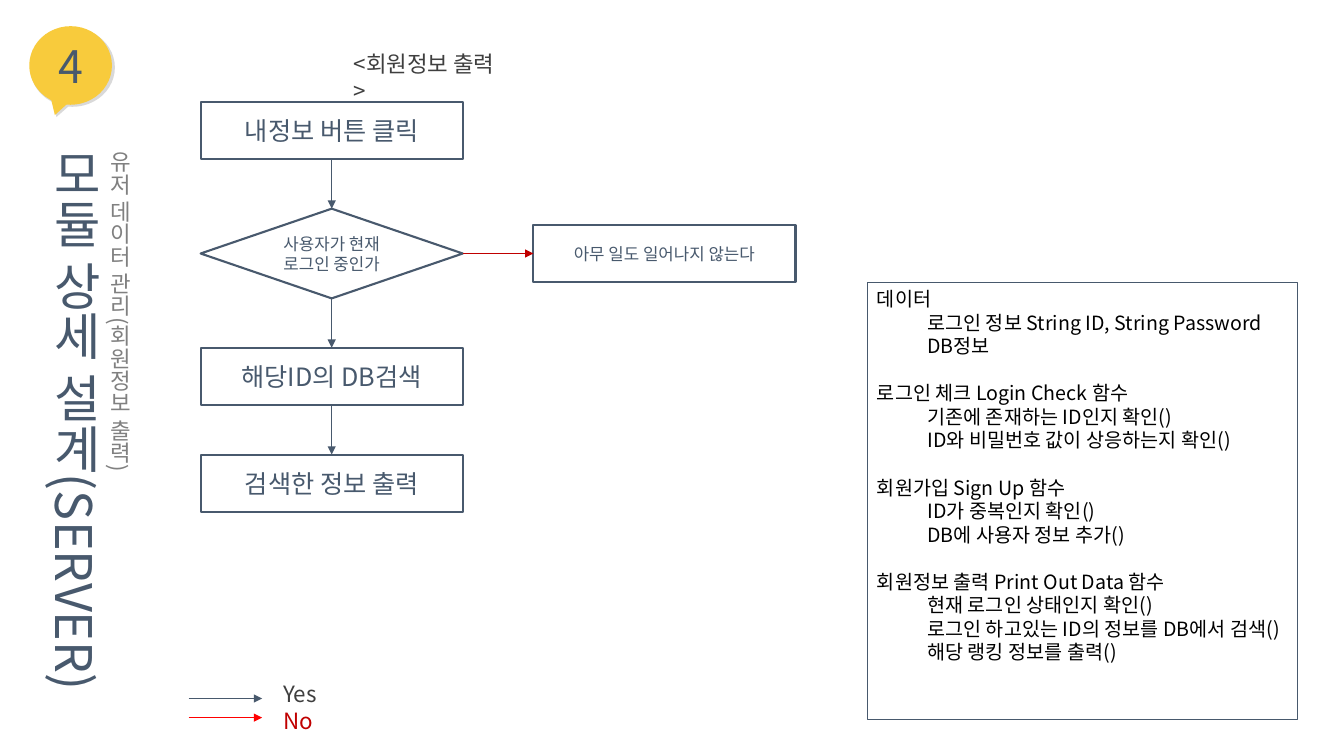
from pptx import Presentation
from pptx.dml.color import RGBColor
from pptx.enum.shapes import MSO_CONNECTOR, MSO_SHAPE
from pptx.enum.text import MSO_ANCHOR, PP_ALIGN
from pptx.oxml.ns import qn
from pptx.util import Inches, Pt
from lxml.etree import SubElement

FONT = "Noto Sans CJK KR"
NAVY = RGBColor(0x48, 0x59, 0x6D)
YELLOW = RGBColor(0xF8, 0xCB, 0x3C)
SHADE = RGBColor(0xD9, 0xD9, 0xD9)
GRAY = RGBColor(0x80, 0x80, 0x80)
DARK = RGBColor(0x3F, 0x3F, 0x3F)
BLACK = RGBColor(0, 0, 0)
CRIMSON = RGBColor(0xC0, 0, 0)
RED = RGBColor(0xFF, 0, 0)

# Flowchart grid in inches
LEFT, TOP, PITCH, GAP = 1.99, 1.01, 3.3, 0.49
BOX_W, BOX_H, DECISION_H = 2.6, 0.57, 0.89
TOP_SITE, LEFT_SITE, BOTTOM_SITE, RIGHT_SITE = range(4)

STEPS = [
    ("내정보 버튼 클릭", MSO_SHAPE.RECTANGLE, BOX_H, 18),
    ("사용자가 현재 로그인 중인가", MSO_SHAPE.FLOWCHART_DECISION, DECISION_H, 12),
    ("해당ID의 DB검색", MSO_SHAPE.RECTANGLE, BOX_H, 18),
    ("검색한 정보 출력", MSO_SHAPE.RECTANGLE, BOX_H, 18),
]
FUNCTIONS = [
    ("데이터", ["로그인 정보 String ID, String Password", "DB정보"]),
    ("로그인 체크 Login Check 함수",
     ["기존에 존재하는 ID인지 확인()", "ID와 비밀번호 값이 상응하는지 확인()"]),
    ("회원가입 Sign Up 함수", ["ID가 중복인지 확인()", "DB에 사용자 정보 추가()"]),
    ("회원정보 출력 Print Out Data 함수",
     ["현재 로그인 상태인지 확인()", "로그인 하고있는 ID의 정보를 DB에서 검색()",
      "해당 랭킹 정보를 출력()"]),
]


def write(p, text, size, color, align=PP_ALIGN.LEFT, indent=0, before=0):
    for name, value in {"alignment": align, "space_before": Pt(before)}.items():
        setattr(p, name, value)
    if indent:
        pPr = p._p.get_or_add_pPr()
        pPr.set("marL", str(Inches(indent)))
        pPr.set("indent", "0")
    r = p.add_run()
    r.text = text
    for name, value in {"name": FONT, "size": Pt(size)}.items():
        setattr(r.font, name, value)
    r.font.color.rgb = color
    SubElement(r._r.get_or_add_rPr(), qn("a:ea")).set("typeface", FONT)


def add_lines(tf, lines):
    for i, line in enumerate(lines):
        p = tf.add_paragraph() if i else tf.paragraphs[0]
        write(p, **line)


def add_shape(shapes, kind, x, y, w, h, fill=None, line=None, anchor=MSO_ANCHOR.MIDDLE):
    sp = shapes.add_shape(kind, Inches(x), Inches(y), Inches(w), Inches(h))
    sp.shadow.inherit = False
    if fill is None:
        sp.fill.background()
    else:
        sp.fill.solid()
        sp.fill.fore_color.rgb = fill
    if line is None:
        sp.line.fill.background()
    else:
        sp.line.color.rgb, sp.line.width = NAVY, Pt(line)
    sp.text_frame.word_wrap = True
    sp.text_frame.vertical_anchor = anchor
    return sp


def add_step(shapes, text, kind, x, y, h, size):
    sp = add_shape(shapes, kind, x, y, BOX_W, h, line=1.5)
    write(sp.text_frame.paragraphs[0], text, size, NAVY, PP_ALIGN.CENTER)
    return sp


def add_text(shapes, x, y, w, h, lines, vertical=False):
    tf = shapes.add_textbox(Inches(x), Inches(y), Inches(w), Inches(h)).text_frame
    tf.word_wrap = not vertical
    if vertical:
        tf._txBody.bodyPr.set("vert", "eaVert")
    add_lines(tf, lines)


def add_arrow(shapes, color, width, x1=0, y1=0, x2=0, y2=0):
    cx = shapes.add_connector(MSO_CONNECTOR.STRAIGHT, Inches(x1), Inches(y1),
                              Inches(x2), Inches(y2))
    cx.line.color.rgb, cx.line.width = color, Pt(width)
    SubElement(cx.line._get_or_add_ln(), qn("a:tailEnd")).set("type", "triangle")
    SubElement(cx._element.spPr, qn("a:effectLst"))
    return cx


def link(shapes, start, start_site, end, end_site, color):
    cx = add_arrow(shapes, color, 0.5)
    cx.begin_connect(start, start_site)
    cx.end_connect(end, end_site)


def add_badge(shapes, number):
    group = shapes.add_group_shape().shapes
    for x, y, w, fill in [(0.3, 0.28, 0.84, SHADE), (0.29, 0.26, 0.82, YELLOW)]:
        sp = add_shape(group, MSO_SHAPE.OVAL_CALLOUT, x, y, w, 0.78, fill)
        sp.adjustments[0], sp.adjustments[1] = -0.19, 0.63
    write(sp.text_frame.paragraphs[0], number, 32, NAVY, PP_ALIGN.CENTER)


def add_flowchart(shapes):
    steps, y = [], TOP
    for text, kind, h, size in STEPS:
        steps.append(add_step(shapes, text, kind, LEFT, y, h, size))
        y += h + GAP
    for start, end in zip(steps, steps[1:]):
        link(shapes, start, BOTTOM_SITE, end, TOP_SITE, NAVY)
    # The "no" branch is centred on the decision
    y = TOP + BOX_H + GAP + (DECISION_H - BOX_H) / 2
    nothing = add_step(shapes, "아무 일도 일어나지 않는다", MSO_SHAPE.RECTANGLE,
                       LEFT + PITCH, y, BOX_H, 12)
    link(shapes, steps[1], RIGHT_SITE, nothing, LEFT_SITE, CRIMSON)


def add_legend(shapes):
    for y, color in [(7.12, RED), (6.93, NAVY)]:
        add_arrow(shapes, color, 0.25, 1.87, y, 2.6, y)
    add_text(shapes, 1.71, 6.7, 1.78, 0.64,
             [dict(text=text, size=16, color=color, indent=1)
              for text, color in [("Yes", DARK), ("No", CRIMSON)]])


def add_functions(shapes):
    sp = add_shape(shapes, MSO_SHAPE.RECTANGLE, 8.6, 2.8, 4.27, 4.34,
                   line=0.75, anchor=MSO_ANCHOR.TOP)
    lines = []
    for i, (heading, details) in enumerate(FUNCTIONS):
        lines.append(dict(text=heading, size=14, color=BLACK, before=16.8 if i else 0))
        lines += [dict(text=d, size=14, color=BLACK, indent=0.5) for d in details]
    add_lines(sp.text_frame, lines)


def main():
    prs = Presentation()
    prs.slide_width, prs.slide_height = Inches(13.33), Inches(7.5)
    shapes = prs.slides.add_slide(prs.slide_layouts[6]).shapes

    # Number and vertical titles
    add_badge(shapes, "4")
    add_text(shapes, 0.29, 1.38, 0.81, 5.47,
             [dict(text="모듈 상세 설계(SERVER)", size=36, color=NAVY)], vertical=True)
    add_text(shapes, 0.9, 1.4, 0.47, 3.39,
             [dict(text="유저 데이터 관리(회원정보 출력)", size=16, color=GRAY,
                   align=PP_ALIGN.CENTER)], vertical=True)

    # Flowchart, legend, function list and caption
    add_flowchart(shapes)
    add_legend(shapes)
    add_functions(shapes)
    add_text(shapes, 3.41, 0.45, 1.71, 0.37,
             [dict(text="<회원정보 출력>", size=16, color=DARK)])
    prs.save("out.pptx")


main()
